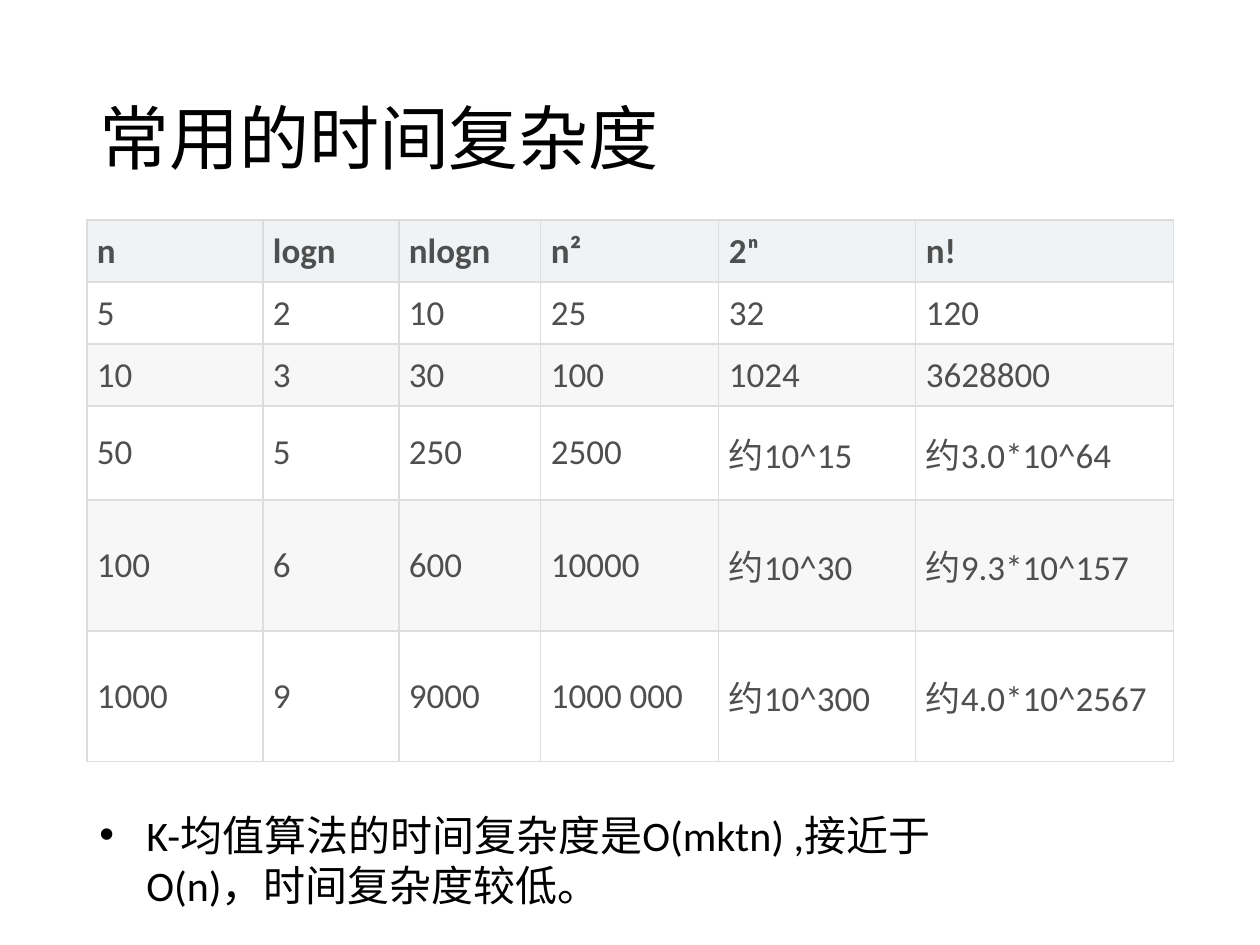
from pptx import Presentation, util as u
from pptx.dml.color import RGBColor
from pptx.enum import text
from pptx.oxml import parse_xml
from pptx.oxml.ns import nsdecls

THEME = {
    "font": "Calibri", "title": 40, "body": 24, "cell": 20,
    "ink": "000000", "cell_ink": "4F4F4F", "rule": "DDDDDD",
    "head": "EFF3F5", "bands": ["F7F7F7", "FFFFFF"],
}


def px(n):
    return round(n * 914400 / 126)


def style(p, size, color, bold=False):
    for r in p.runs:
        r.font.name = THEME["font"]
        r.font.size = u.Pt(THEME[size])
        r.font.color.rgb = RGBColor.from_string(THEME[color])
        r.font.bold = bold


prs = Presentation()
prs.slide_width, prs.slide_height = px(1260), px(945)
s = prs.slides.add_slide(prs.slide_layouts[6])

title = s.shapes.add_textbox(px(87), px(50), px(1086), px(183))
tf = title.text_frame
tf.word_wrap = True
tf.vertical_anchor = text.MSO_ANCHOR.MIDDLE
tf.text = "常用的时间复杂度"
tf.paragraphs[0].line_spacing = 0.9
style(tf.paragraphs[0], "title", "ink")

rows = [
    ["n", "logn", "nlogn", "n²", "2ⁿ", "n!"],
    ["5", "2", "10", "25", "32", "120"],
    ["10", "3", "30", "100", "1024", "3628800"],
    ["50", "5", "250", "2500", "约10^15", "约3.0*10^64"],
    ["100", "6", "600", "10000", "约10^30", "约9.3*10^157"],
    ["1000", "9", "9000", "1000 000", "约10^300", "约4.0*10^2567"],
]
widths = [176, 136, 142, 178, 197, 258]
heights = [57, 57, 57, 94, 131, 131]
table = s.shapes.add_table(len(rows), len(widths), px(87), px(220), px(sum(widths)), px(sum(heights))).table
for col, w in zip(table.columns, widths):
    col.width = px(w)
for i, (values, h) in enumerate(zip(rows, heights)):
    table.rows[i].height = px(h)
    for j, value in enumerate(values):
        cell = table.cell(i, j)
        cell.text = value
        cell.vertical_anchor = text.MSO_ANCHOR.MIDDLE
        cell.margin_left = cell.margin_right = cell.margin_top = cell.margin_bottom = px(10)
        style(cell.text_frame.paragraphs[0], "cell", "cell_ink", i == 0)
        tcPr = cell._tc.get_or_add_tcPr()
        for side in ("lnL", "lnR", "lnT", "lnB"):
            tcPr.append(parse_xml(
                f'<a:{side} {nsdecls("a")} w="{u.Pt(0.75)}"><a:solidFill>'
                f'<a:srgbClr val="{THEME["rule"]}"/></a:solidFill></a:{side}>'))
        cell.fill.solid()
        fill = THEME["bands"][i % 2] if i else THEME["head"]
        cell.fill.fore_color.rgb = RGBColor.from_string(fill)

note = s.shapes.add_textbox(px(87), px(803), px(959), px(115))
tf = note.text_frame
tf.word_wrap = True
tf.auto_size = text.MSO_AUTO_SIZE.SHAPE_TO_FIT_TEXT
tf.text = "K-均值算法的时间复杂度是O(mktn) ,接近于O(n)，时间复杂度较低。"
p = tf.paragraphs[0]
pPr = p._p.get_or_add_pPr()
pPr.set("marL", str(px(47)))
pPr.set("indent", str(-px(47)))
pPr.append(parse_xml(f'<a:buFont {nsdecls("a")} typeface="Arial"/>'))
pPr.append(parse_xml(f'<a:buChar {nsdecls("a")} char="•"/>'))
style(p, "body", "ink")

prs.save("out.pptx")
